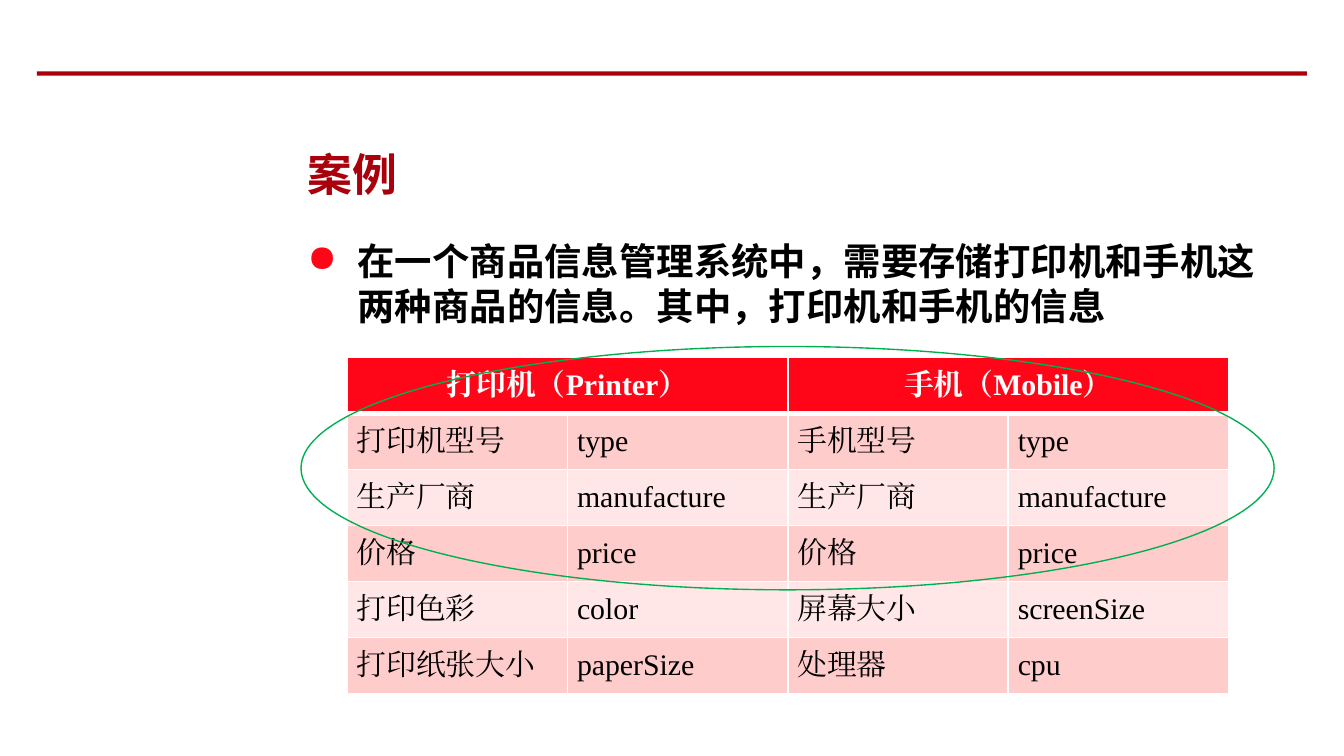
"""Build the product information case slide."""
from dataclasses import dataclass

from lxml.etree import SubElement as Sub
from pptx import Presentation
from pptx.dml.color import RGBColor as Rgb
from pptx.enum.shapes import MSO_SHAPE as Shape
from pptx.enum.text import MSO_ANCHOR as Anchor, PP_ALIGN as Align
from pptx.oxml.ns import qn
from pptx.util import Cm, Pt


@dataclass(frozen=True)
class Theme:
    dark: str = "AA000B"
    red: str = "FF0517"
    green: str = "00B050"
    white: str = "FFFFFF"
    black: str = "000000"
    bands: tuple = ("FFCCCC", "FFE7E8")
    head: str = "Noto Sans CJK SC"
    body: str = "Calibri"
    grid: str = "Times New Roman"
    large: int = 24
    mid: int = 20
    small: int = 16


LOOK = Theme()
HEADS = ("打印机（Printer）", "手机（Mobile）")
ROWS = (
    ("打印机型号", "type", "手机型号", "type"),
    ("生产厂商", "manufacture", "生产厂商", "manufacture"),
    ("价格", "price", "价格", "price"),
    ("打印色彩", "color", "屏幕大小", "screenSize"),
    ("打印纸张大小", "paperSize", "处理器", "cpu"),
)


def apply(item, form):
    for key, value in form.items():
        setattr(item, key, value)


def write(para, text, face, size, color, bold):
    run = para.add_run()
    run.text = text
    apply(run.font, {"name": face, "size": Pt(size), "bold": bold})
    run.font.color.rgb = Rgb.from_string(color)
    Sub(run.font._element, qn("a:ea"), typeface=face)


def add_mark(para, char, color):
    props = para._p.get_or_add_pPr()
    tint = Sub(props, qn("a:buClr"))
    Sub(tint, qn("a:srgbClr"), val=color)
    Sub(props, qn("a:buChar"), char=char)


def add_text(slide, box, text, face, size, color, mark=None, top=0.13):
    frame = slide.shapes.add_textbox(*map(Cm, box)).text_frame
    apply(frame, {"word_wrap": True, "margin_top": Cm(top)})
    para = frame.paragraphs[0]
    props = para._p.get_or_add_pPr()
    props.set("marL", str(Cm(0.95)))
    props.set("indent", str(-Cm(0.95)))
    if mark:
        add_mark(para, mark, LOOK.red)
    write(para, text, face, size, color, True)


def add_form(slide, kind, box, fill=None, line=None):
    form = slide.shapes.add_shape(kind, *map(Cm, box))
    form.shadow.inherit = False
    if fill:
        form.fill.solid()
        form.fill.fore_color.rgb = Rgb.from_string(fill)
    else:
        form.fill.background()
    if line:
        form.line.color.rgb = Rgb.from_string(line)
        form.line.width = Pt(0.75)
    else:
        form.line.fill.background()


def add_edges(cell, widths):
    props = cell._tc.get_or_add_tcPr()
    for spot, (side, width) in enumerate(zip("LRTB", widths)):
        edge = props.makeelement(qn(f"a:ln{side}"), {"w": str(Pt(width))})
        fill = Sub(edge, qn("a:solidFill"))
        Sub(fill, qn("a:srgbClr"), val=LOOK.white)
        props.insert(spot, edge)


def fill_cell(cell, text, fill, color, align, bold):
    apply(cell, {"vertical_anchor": Anchor.MIDDLE,
                 "margin_left": Cm(0.18), "margin_right": Cm(0.18),
                 "margin_top": 0, "margin_bottom": 0})
    cell.fill.solid()
    cell.fill.fore_color.rgb = Rgb.from_string(fill)
    para = cell.text_frame.paragraphs[0]
    para.alignment = align
    write(para, text, LOOK.grid, LOOK.small, color, bold)


def add_grid(slide, box):
    count, wide = len(ROWS) + 1, len(ROWS[0])
    grid = slide.shapes.add_table(count, wide, *map(Cm, box)).table
    grid.horz_banding = False
    for col in grid.columns:
        col.width = Cm(box[2] / wide)
    for row in grid.rows:
        row.height = Cm(box[3] / count)
    for pos, text in enumerate(HEADS):
        cell = grid.cell(0, 2 * pos)
        cell.merge(grid.cell(0, 2 * pos + 1))
        fill_cell(cell, text, LOOK.red, LOOK.white, Align.CENTER, True)
    for r, words in enumerate(ROWS):
        for c, text in enumerate(words):
            fill_cell(grid.cell(r + 1, c), text, LOOK.bands[r % 2],
                      LOOK.black, Align.JUSTIFY, False)
    for r in range(count):
        for c in range(wide):
            add_edges(grid.cell(r, c),
                      (1, 1, 3 if r == 1 else 1, 3 if r == 0 else 1))


def main():
    deck = Presentation()
    apply(deck, {"slide_width": Cm(25.4), "slide_height": Cm(14.29)})
    slide = deck.slides.add_slide(deck.slide_layouts[6])
    add_form(slide, Shape.RECTANGLE, (0.7, 1.35, 24, 0.08), fill=LOOK.dark)
    add_text(slide, (5.56, 2.77, 12.12, 1.4), "案例",
             LOOK.head, LOOK.large, LOOK.dark, top=0)
    add_text(slide, (5.56, 4.37, 18.64, 8.13),
             "在一个商品信息管理系统中，需要存储打印机和手机这两种商品的信息。"
             "其中，打印机和手机的信息",
             LOOK.body, LOOK.mid, LOOK.black, mark="●")
    add_grid(slide, (6.56, 6.76, 16.66, 6.35))
    add_form(slide, Shape.OVAL, (5.69, 6.55, 18.39, 4.6), line=LOOK.green)
    deck.save("out.pptx")


if __name__ == "__main__":
    main()
